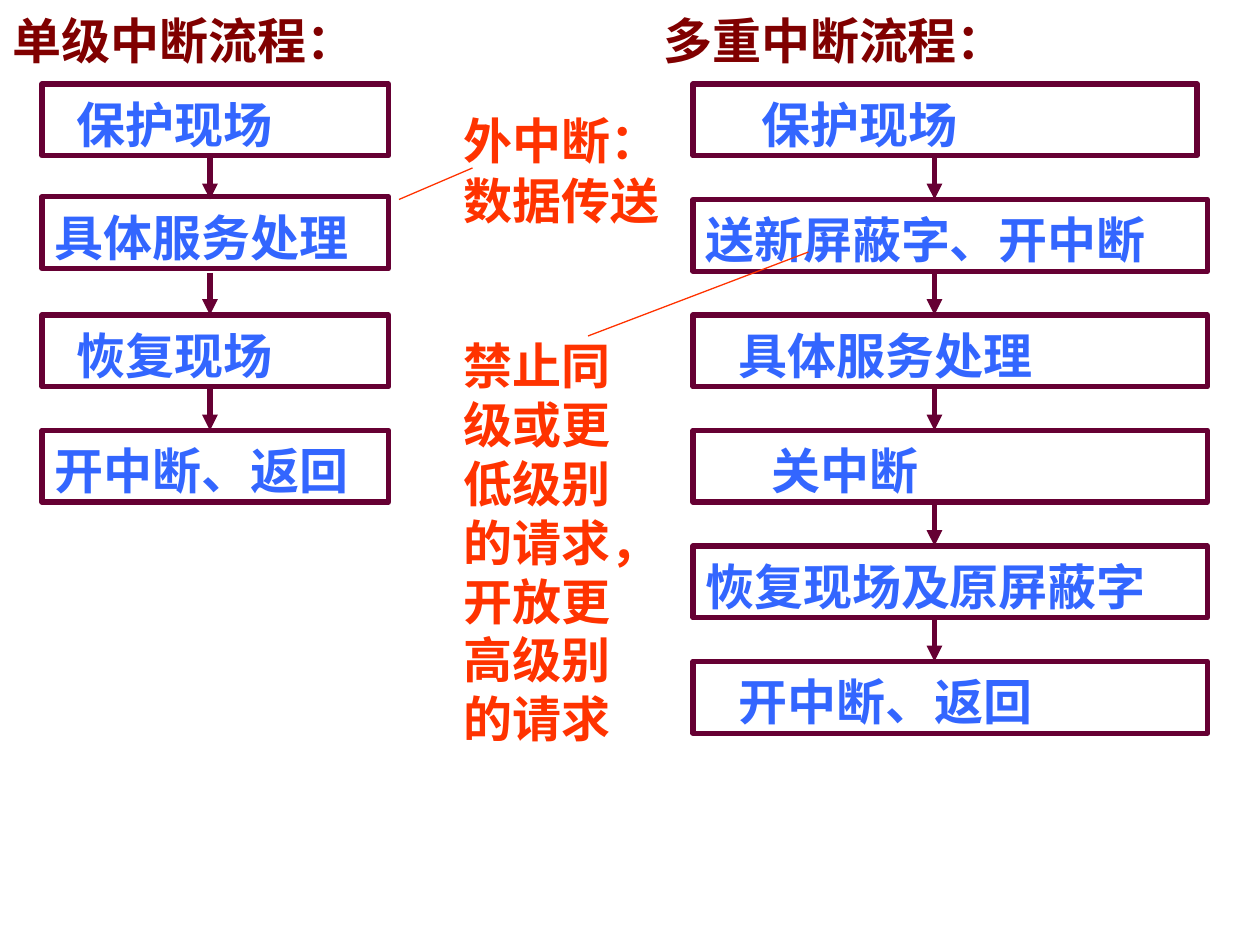
import pptx
import pptx.util
import pptx.dml.color
import pptx.enum.shapes
import pptx.enum.text
import pptx.oxml.ns
import lxml.etree

Pt = pptx.util.Pt
THEME = {
    "font": "Noto Sans CJK SC", "size": 28, "line": 33.6,
    "head": "800000", "step": "3366FF", "edge": "660033", "note": "FF3300",
    "thick": 3, "thin": 0.75,
}
TOP, PITCH, HIGH = 48, 66, 41

HEADS = [("单级中断流程：", 0), ("多重中断流程：", 372)]
FLOWS = [
    {"left": 24, "axis": 120, "steps": [
        ("保护现场", 198, 12.6, 0), ("具体服务处理", 198, 0, -1.5),
        ("恢复现场", 198, 12.6, 0), ("开中断、返回", 198, 0, 0)]},
    {"left": 396, "axis": 534, "steps": [
        ("保护现场", 288, 32, 0), ("送新屏蔽字、开中断", 294, 0, 0),
        ("具体服务处理", 294, 19, 0), ("关中断", 294, 38, 0),
        ("恢复现场及原屏蔽字", 294, 0, 0), ("开中断、返回", 294, 19, 0)]},
]
NOTES = [
    {"text": "外中断：\n数据传送", "box": (258, 72, 162, 58),
     "line": 16.8, "gap": 17.5, "inset": 8},
    {"text": "禁止同级或更低级别的请求，开放更高级别的请求",
     "box": (258, 186, 120, 243), "line": 33.6, "gap": 0, "inset": 6},
]
LINKS = [(228, 114, 270, 96), (336, 192, 462, 144)]


def color(key):
    return pptx.dml.color.RGBColor.from_string(THEME[key])


def child(node, tag, **attrs):
    return lxml.etree.SubElement(node, pptx.oxml.ns.qn(tag), **attrs)


def place(shape, box):
    shape.left, shape.top, shape.width, shape.height = map(Pt, box)


def write(shape, text, key, line=THEME["line"], gap=0, inset=6, indent=0):
    frame = shape.text_frame
    frame.text = text
    frame.word_wrap = True
    frame.auto_size = pptx.enum.text.MSO_AUTO_SIZE.NONE
    frame.vertical_anchor = pptx.enum.text.MSO_ANCHOR.TOP
    frame.margin_left = frame.margin_right = Pt(7.2)
    frame.margin_top, frame.margin_bottom = Pt(inset), Pt(0)
    for count, para in enumerate(frame.paragraphs):
        para.alignment = pptx.enum.text.PP_ALIGN.LEFT
        para.line_spacing = Pt(line)
        para.space_before = Pt(gap if count else 0)
        props = para._p.get_or_add_pPr()
        props.set("marL", str(int(Pt(indent))))
        props.set("indent", "0")
        for run in para.runs:
            font = run.font
            font.name, font.size, font.bold = THEME["font"], Pt(THEME["size"]), True
            font.color.rgb = color(key)
            child(run._r.get_or_add_rPr(), "a:ea", typeface=THEME["font"])


def label(slide, text, box, key, **style):
    shape = slide.shapes.add_textbox(*map(Pt, box))
    write(shape, text, key, **style)


def join(slide, ends, key, width, arrow=False):
    line = slide.shapes.add_connector(
        pptx.enum.shapes.MSO_CONNECTOR.STRAIGHT, *map(Pt, ends))
    line.line.color.rgb = color(key)
    line.line.width = Pt(THEME[width])
    if arrow:
        child(line.line._get_or_add_ln(), "a:tailEnd", type="triangle")
    child(line._element.spPr, "a:effectLst")


def draw(slide, flow):
    for count, (text, wide, indent, shift) in enumerate(flow["steps"]):
        top = TOP + count * PITCH
        box = slide.shapes.add_shape(
            pptx.enum.shapes.MSO_SHAPE.RECTANGLE,
            *map(Pt, (flow["left"], top + shift, wide, HIGH)))
        box.shadow.inherit = False
        box.fill.background()
        box.line.color.rgb = color("edge")
        box.line.width = Pt(THEME["thick"])
        write(box, text, "step", indent=indent)
        if count:
            join(slide, (flow["axis"], top - 24, flow["axis"], top),
                 "edge", "thick", True)


def main():
    deck = pptx.Presentation()
    deck.slide_width, deck.slide_height = Pt(720), Pt(540)
    slide = deck.slides.add_slide(deck.slide_layouts[5])
    (first, left), (second, right) = HEADS
    title = slide.shapes.title
    place(title, (left, 0, 348, HIGH))
    write(title, first, "head")
    label(slide, second, (right, 0, 348, HIGH), "head")
    for flow in FLOWS:
        draw(slide, flow)
    for note in NOTES:
        label(slide, note["text"], note["box"], "note",
              line=note["line"], gap=note["gap"], inset=note["inset"])
    for ends in LINKS:
        join(slide, ends, "note", "thin")
    deck.save("out.pptx")


if __name__ == "__main__":
    main()
